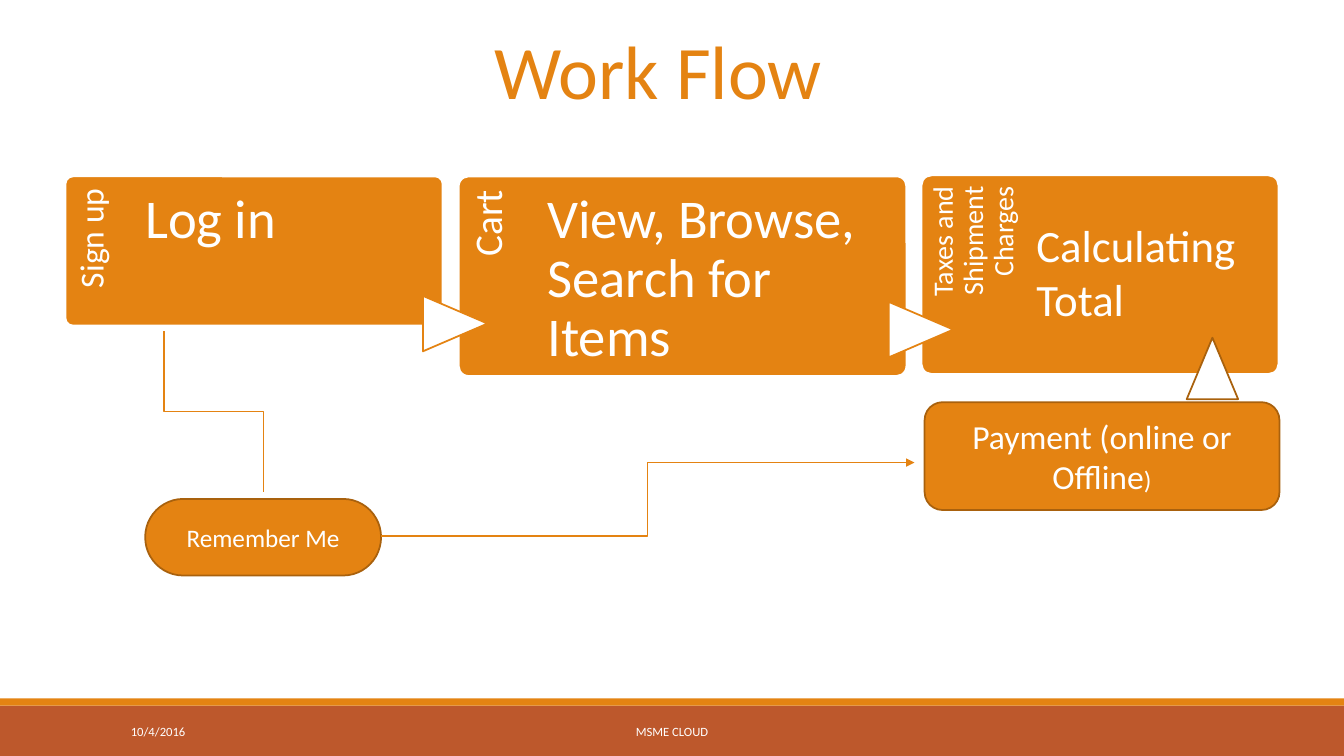
from dataclasses import dataclass

from lxml.etree import SubElement
from pptx import Presentation
from pptx.dml.color import RGBColor
from pptx.enum.shapes import MSO_CONNECTOR, MSO_SHAPE
from pptx.enum.text import MSO_ANCHOR, MSO_AUTO_SIZE, PP_ALIGN
from pptx.oxml.ns import qn
from pptx.util import Inches, Pt


@dataclass(frozen=True)
class Theme:
    font: str = "Calibri"
    orange: str = "E48312"
    rust: str = "BD582C"
    edge: str = "A9610D"
    white: str = "FFFFFF"
    title: int = 54
    stage: int = 39
    total: int = 32
    cart: int = 28
    payment: int = 24
    sign_up: int = 24
    charges: int = 20
    note: int = 18
    footer: int = 9
    outline: float = 1.25
    link: float = 1


DEFAULT_INSETS = (0.1, 0.05, 0.1, 0.05)


class WorkFlowPage:
    def __init__(self, deck, theme):
        self.theme = theme
        self.page = deck.slides.add_slide(deck.slide_layouts[5])

    def color(self, name):
        return RGBColor.from_string(name)

    def fill_text(self, box, text, size, color=None, align=PP_ALIGN.LEFT,
                  anchor=MSO_ANCHOR.TOP, insets=DEFAULT_INSETS, spacing=1.0, wrap=True):
        frame = box.text_frame
        frame.text = text
        frame.auto_size = MSO_AUTO_SIZE.NONE
        frame.word_wrap = wrap
        frame.vertical_anchor = anchor
        (frame.margin_left, frame.margin_top,
         frame.margin_right, frame.margin_bottom) = map(Inches, insets)
        para = frame.paragraphs[0]
        para.alignment = align
        para.line_spacing = spacing
        for span in para.runs:
            self.style(span, size, color)
        return para

    def style(self, span, size, color=None):
        span.font.name = self.theme.font
        span.font.size = Pt(size)
        span.font.color.rgb = self.color(color or self.theme.white)

    def title(self, text, place):
        box = self.page.shapes.title
        box.left, box.top, box.width, box.height = map(Inches, place)
        self.fill_text(box, text, self.theme.title, self.theme.orange,
                       PP_ALIGN.CENTER, wrap=False)

    def text(self, text, place, size, rotation=0, **options):
        box = self.page.shapes.add_textbox(*map(Inches, place))
        box.rotation = rotation
        self.fill_text(box, text, size, **options)

    def shape(self, kind, place, fill, line=None, rotation=0, corner=None):
        box = self.page.shapes.add_shape(kind, *map(Inches, place))
        box.shadow.inherit = False
        box.rotation = rotation
        box.fill.solid()
        box.fill.fore_color.rgb = self.color(fill)
        if line:
            box.line.color.rgb = self.color(line)
            box.line.width = Pt(self.theme.outline)
        else:
            box.line.fill.background()
        if corner is not None:
            box.adjustments[0] = corner
        return box

    def labelled(self, kind, place, text, size):
        box = self.shape(kind, place, self.theme.orange, self.theme.edge)
        return self.fill_text(box, text, size, align=PP_ALIGN.CENTER, anchor=MSO_ANCHOR.MIDDLE)

    def stage(self, card, side, side_place, side_size, side_insets, main=None, main_place=None):
        self.shape(MSO_SHAPE.ROUNDED_RECTANGLE, card, self.theme.orange,
                   self.theme.white, corner=0.05)
        self.text(side, side_place, side_size, rotation=270, align=PP_ALIGN.RIGHT,
                  insets=side_insets, spacing=0.9)
        if main:
            self.text(main, main_place, self.theme.stage, insets=(0, 0.15, 0, 0), spacing=0.9)

    def pointer(self, place, line, rotation=0):
        self.shape(MSO_SHAPE.FLOWCHART_EXTRACT, place, self.theme.white, line, rotation)

    def elbow(self, start, end, rotation=0, arrow=False):
        link = self.page.shapes.add_connector(MSO_CONNECTOR.ELBOW, *map(Inches, start + end))
        link.line.color.rgb = self.color(self.theme.orange)
        link.line.width = Pt(self.theme.link)
        properties = link._element.spPr
        if rotation:
            properties.find(qn("a:xfrm")).set("rot", str(rotation * 60000))
        if arrow:
            SubElement(properties.find(qn("a:ln")), qn("a:tailEnd"), type="triangle")
        SubElement(properties, qn("a:effectLst"))


def main():
    deck = Presentation()
    deck.slide_width, deck.slide_height = Inches(13.33), Inches(7.5)
    theme = Theme()
    flow = WorkFlowPage(deck, theme)

    flow.shape(MSO_SHAPE.RECTANGLE, (0, 7, 13.33, 0.5), theme.rust)
    flow.shape(MSO_SHAPE.RECTANGLE, (0, 6.93, 13.33, 0.07), theme.orange)
    flow.text("10/4/2016", (1.2, 7.06, 2.7, 0.4), theme.footer, anchor=MSO_ANCHOR.MIDDLE)
    flow.text("MSME CLOUD", (4.03, 7.06, 5.27, 0.4), theme.footer,
              align=PP_ALIGN.CENTER, anchor=MSO_ANCHOR.MIDDLE)
    flow.title("Work Flow", (4.79, 0.19, 3.48, 1.01))

    flow.stage((0.65, 1.75, 3.74, 1.48), "Sign up", (0.42, 1.98, 1.21, 0.75), theme.sign_up,
               (0, 0.09, 0.12, 0), "Log in", (1.44, 1.75, 2.79, 1.48))
    flow.stage((4.55, 1.75, 4.44, 1.98), "Cart", (4.18, 2.11, 1.62, 0.89), theme.cart,
               (0, 0.1, 0.14, 0), "View, Browse, Search for Items", (5.43, 1.75, 3.31, 1.98))
    flow.stage((9.14, 1.74, 3.54, 1.97), "Taxes and Shipment Charges",
               (8.69, 2.2, 1.61, 0.71), theme.charges, (0, 0.07, 0.1, 0))
    flow.text("Calculating Total", (10.18, 2.11, 2.36, 1.18), theme.total)

    for left, top in ((4.24, 2.89), (8.86, 2.95)):
        flow.pointer((left, top, 0.55, 0.64), theme.orange, rotation=90)
    flow.pointer((11.77, 3.35, 0.51, 0.61), theme.edge)

    flow.labelled(MSO_SHAPE.FLOWCHART_TERMINATOR, (1.44, 4.95, 2.34, 0.76),
                  "Remember Me", theme.note)
    payment = flow.labelled(MSO_SHAPE.ROUNDED_RECTANGLE, (9.17, 3.99, 3.52, 1.07),
                            "Payment (online or Offline", theme.payment)
    bracket = payment.add_run()
    bracket.text = ")"
    flow.style(bracket, theme.note)

    flow.elbow((2.92, 3.59), (1.32, 4.58), rotation=270)
    flow.elbow((3.78, 5.32), (9.07, 4.59), arrow=True)
    deck.save("out.pptx")


if __name__ == "__main__":
    main()
